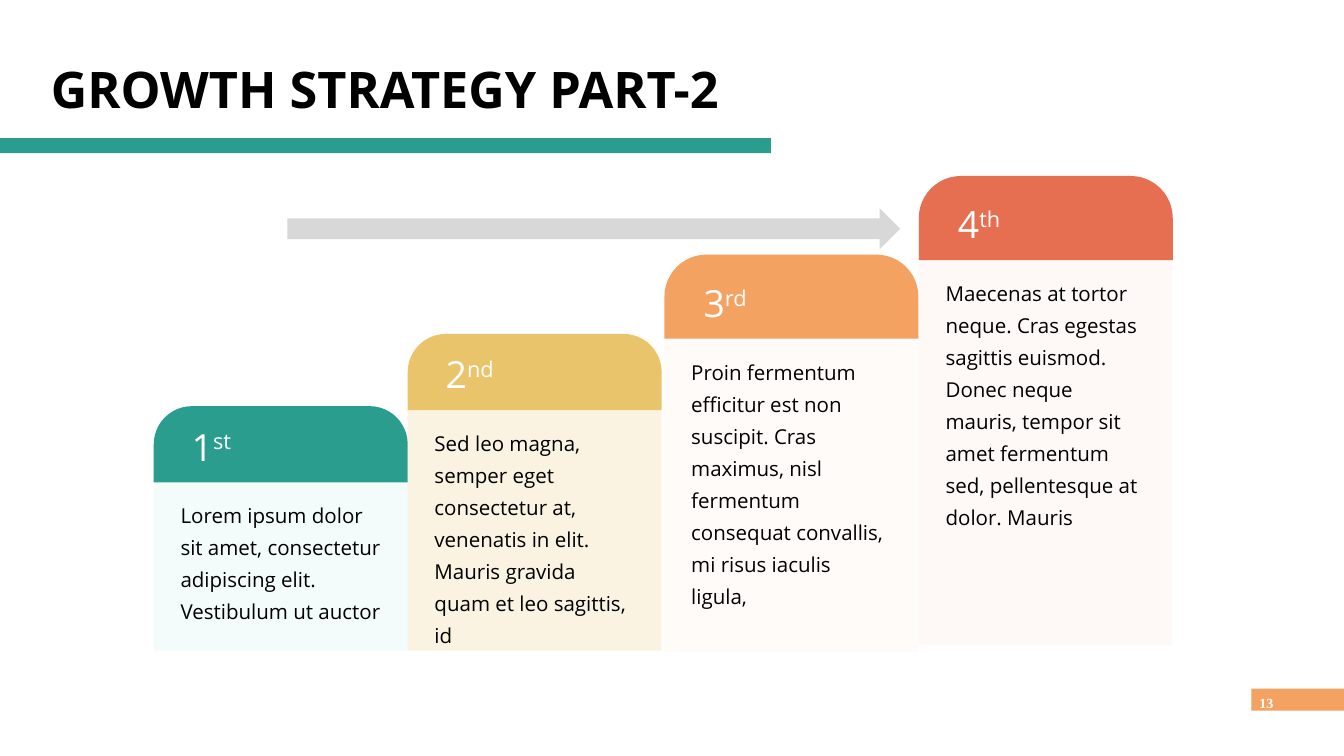
from dataclasses import dataclass

from lxml.etree import SubElement
from pptx import Presentation
from pptx.dml.color import RGBColor
from pptx.enum.shapes import MSO_SHAPE as Preset
from pptx.enum.text import MSO_ANCHOR as Anchor, MSO_AUTO_SIZE as AutoSize, PP_ALIGN as Align
from pptx.oxml.ns import qn
from pptx.util import Cm, Pt


@dataclass(frozen=True)
class Theme:
    font: str = "Open Sans"
    number_font: str = "Times New Roman"
    title_size: float = 72
    ordinal_size: float = 53.4
    body_size: float = 29.3
    number_size: float = 20
    ink: str = "000000"
    paper: str = "FFFFFF"
    teal: str = "2A9D8F"
    sand: str = "E9C46A"
    orange: str = "F4A261"
    coral: str = "E76F51"
    pale_teal: str = "CCF2ED"
    pale_orange: str = "FCEBDE"
    pale_coral: str = "FAE1DA"
    grey: str = "D8D8D8"
    tint_opacity: int = 20


THEME = Theme()
SLIDE_WIDTH, SLIDE_HEIGHT = 67.74, 38.1
STEP_WIDTH = 12.8

# number, suffix, left, top, header height, bottom, header colour, body colour, text
STEPS = [
    ("1", "st", 7.75, 20.47, 3.84, 32.79, THEME.teal, THEME.pale_teal,
     "Lorem ipsum dolor sit amet, consectetur adipiscing elit. Vestibulum ut auctor"),
    ("2", "nd", 20.55, 16.83, 3.84, 32.79, THEME.sand, THEME.sand,
     "Sed leo magna, semper eget consectetur at, venenatis in elit. "
     "Mauris gravida quam et leo sagittis, id"),
    ("3", "rd", 33.49, 12.83, 4.24, 32.87, THEME.orange, THEME.pale_orange,
     "Proin fermentum efficitur est non suscipit. Cras maximus, nisl fermentum "
     "consequat convallis, mi risus iaculis ligula,"),
    ("4", "th", 46.31, 8.87, 4.24, 32.54, THEME.coral, THEME.pale_coral,
     "Maecenas at tortor neque. Cras egestas sagittis euismod. Donec neque mauris, "
     "tempor sit amet fermentum sed, pellentesque at dolor. Mauris"),
]


def add_block(slide, preset, box, colour, opacity=100):
    block = slide.shapes.add_shape(preset, *map(Cm, box))
    block.shadow.inherit = False
    block.line.fill.background()
    block.fill.solid()
    block.fill.fore_color.rgb = RGBColor.from_string(colour)
    if opacity < 100:
        tint = block.fill._xPr.find(qn("a:solidFill"))[0]
        SubElement(tint, qn("a:alpha")).set("val", str(opacity * 1000))
    return block


def set_frame(frame, anchor, side, vertical):
    frame.word_wrap = True
    frame.auto_size = AutoSize.NONE
    frame.vertical_anchor = anchor
    frame.margin_left = frame.margin_right = Cm(side)
    frame.margin_top = frame.margin_bottom = Cm(vertical)


def style_paragraph(paragraph, size, colour, font=THEME.font, bold=False, spacing=1.0):
    paragraph.alignment = Align.LEFT
    paragraph.line_spacing = spacing
    for run in paragraph.runs:
        run.font.name = font
        run.font.size = Pt(size)
        run.font.bold = bold
        run.font.color.rgb = RGBColor.from_string(colour)


def add_heading(slide, box):
    """Title with the bar that runs in from the left edge below it."""
    left, top, width, height = box
    title = slide.shapes.title
    title.left, title.top, title.width, title.height = map(Cm, box)
    title.text_frame.text = "GROWTH STRATEGY PART-2"
    set_frame(title.text_frame, Anchor.MIDDLE, 0.25, 0.13)
    style_paragraph(title.text_frame.paragraphs[0], THEME.title_size, THEME.ink,
                    bold=True, spacing=0.9)
    add_block(slide, Preset.RECTANGLE, (0, top + height + 0.46, 38.86, 0.76), THEME.teal)


def add_step(slide, box, header_height, ordinal, colours, text):
    """One stair: rounded header with its ordinal, tinted body below."""
    left, top, width, height = box
    header_colour, body_colour = colours

    # Body
    body = add_block(slide, Preset.RECTANGLE,
                     (left, top + header_height, width, height - header_height),
                     body_colour, THEME.tint_opacity)
    body.text_frame.text = text
    set_frame(body.text_frame, Anchor.TOP, 1.35, 0.69)
    style_paragraph(body.text_frame.paragraphs[0], THEME.body_size, THEME.ink, spacing=1.3)

    # Header
    header = add_block(slide, Preset.ROUND_2_SAME_RECTANGLE,
                       (left, top, width, header_height), header_colour)
    header.adjustments[0] = 0.5
    set_frame(header.text_frame, Anchor.BOTTOM, 1.35, 0.69)
    label = header.text_frame.paragraphs[0]
    for part in ordinal:
        label.add_run().text = part
    style_paragraph(label, THEME.ordinal_size, THEME.paper)
    label.runs[1]._r.get_or_add_rPr().set("baseline", "30000")


def add_page_number(slide, box):
    """Orange tab on the right edge with the page number."""
    left, top, width, height = box
    add_block(slide, Preset.RECTANGLE, box, THEME.orange)
    number = slide.shapes.add_textbox(*map(Cm, (left + 0.2, top + 0.15, 1.14, 0.86)))
    number.text_frame.text = "13"
    set_frame(number.text_frame, Anchor.TOP, 0, 0)
    paragraph = number.text_frame.paragraphs[0]
    paragraph._p.get_or_add_pPr().set("marL", str(Cm(0.2)))
    style_paragraph(paragraph, THEME.number_size, THEME.paper, THEME.number_font,
                    bold=True, spacing=1.2)


def main():
    deck = Presentation()
    deck.slide_width, deck.slide_height = Cm(SLIDE_WIDTH), Cm(SLIDE_HEIGHT)
    slide = deck.slides.add_slide(deck.slide_layouts[5])

    add_page_number(slide, (SLIDE_WIDTH - 4.67, 34.7, 4.67, 1.12))
    add_heading(slide, (2.31, 2.82, 45.8, 3.68))
    add_block(slide, Preset.RIGHT_ARROW, (14.48, 10.49, 30.89, 2.08), THEME.grey)
    for number, suffix, left, top, header_height, bottom, header, body, text in STEPS:
        add_step(slide, (left, top, STEP_WIDTH, bottom - top), header_height,
                 (number, suffix), (header, body), text)

    deck.save("out.pptx")


if __name__ == "__main__":
    main()
